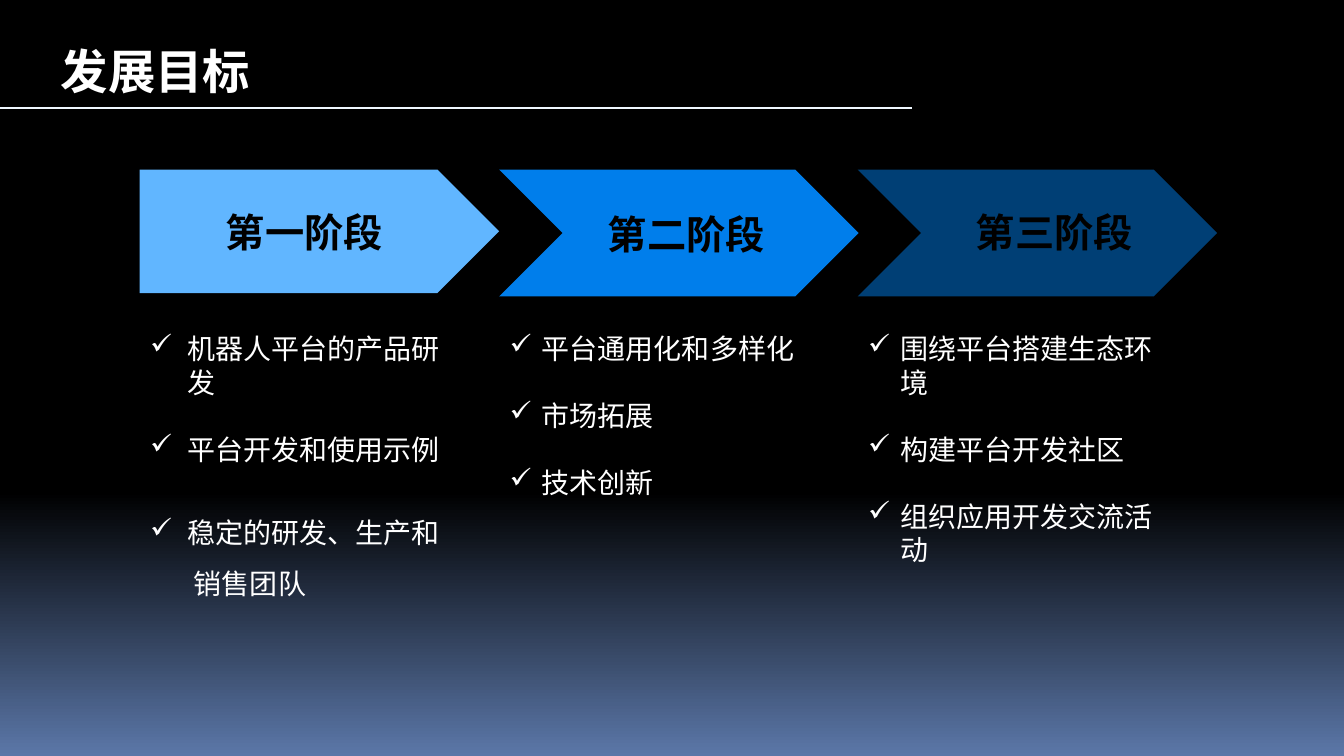
from dataclasses import dataclass

import pptx
import pptx.dml.color
import pptx.enum.shapes
import pptx.oxml.ns
import pptx.oxml.xmlchemy
import pptx.util
from lxml import etree

Inches = pptx.util.Inches
Color = pptx.dml.color.RGBColor
Shape = pptx.enum.shapes.MSO_SHAPE
qn = pptx.oxml.ns.qn

BLACK = Color(0x00, 0x00, 0x00)
WHITE = Color(0xFF, 0xFF, 0xFF)
DUSK = Color(0x5B, 0x77, 0xA8)
PALE = Color(0xEF, 0xF7, 0xFF)
SKY = Color(0x61, 0xB6, 0xFF)
AZURE = Color(0x00, 0x7E, 0xEB)
NAVY = Color(0x00, 0x3F, 0x75)

FACE = "Noto Sans CJK SC"
TITLE = {"name": FACE, "size": pptx.util.Pt(32), "bold": True}
LABEL = {"name": FACE, "size": pptx.util.Pt(26.5), "bold": True}
BODY = {"name": FACE, "size": pptx.util.Pt(18.9), "bold": False}
GAP = pptx.util.Pt(22.6)


@dataclass
class Box:
    left: float
    top: float
    width: float
    height: float

    def lengths(self) -> list:
        return [Inches(v) for v in (self.left, self.top, self.width, self.height)]


@dataclass
class Goal:
    text: str
    indent: float = 0.3
    spacing: float = 1.0
    mark: bool = True


@dataclass
class Stage:
    kind: int
    fill: Color
    arrow: Box
    name: str
    label: Box
    list_box: Box
    goals: list[Goal]


STAGES = [
    Stage(Shape.PENTAGON, SKY, Box(1.31, 1.59, 3.37, 1.16),
          "第一阶段", Box(2.02, 1.9, 1.94, 0.55), Box(1.31, 3.06, 3.1, 2.65),
          [Goal("机器人平台的产品研发", 0.35),
           Goal("平台开发和使用示例", 0.35),
           Goal("稳定的研发、生产和", 0.35, 1.5),
           Goal("销售团队", 0.41, 1.5, False)]),
    Stage(Shape.CHEVRON, AZURE, Box(4.68, 1.59, 3.37, 1.19),
          "第二阶段", Box(5.6, 1.92, 1.94, 0.55), Box(4.68, 3.06, 3.1, 2.01),
          [Goal("平台通用化和多样化"), Goal("市场拓展"), Goal("技术创新")]),
    Stage(Shape.CHEVRON, NAVY, Box(8.04, 1.59, 3.37, 1.19),
          "第三阶段", Box(9.05, 1.9, 1.94, 0.55), Box(8.04, 3.06, 3.1, 2.65),
          [Goal("围绕平台搭建生态环境"), Goal("构建平台开发社区"),
           Goal("组织应用开发交流活动")]),
]


def write(para, text: str, form: dict, color: Color) -> None:
    run = para.add_run()
    run.text = text
    for key, value in form.items():
        setattr(run.font, key, value)
    run.font.color.rgb = color
    east = etree.SubElement(run.font._element, qn("a:ea"))
    east.set("typeface", FACE)


def add_frame(slide, box: Box):
    frame = slide.shapes.add_textbox(*box.lengths()).text_frame
    frame.word_wrap = True
    return frame


def add_label(slide, box: Box, text: str, form: dict, color: Color) -> None:
    write(add_frame(slide, box).paragraphs[0], text, form, color)


def add_arrow(slide, stage: Stage) -> None:
    arrow = slide.shapes.add_shape(stage.kind, *stage.arrow.lengths())
    arrow.shadow.inherit = False
    arrow.fill.solid()
    arrow.fill.fore_color.rgb = stage.fill
    arrow.line.fill.background()


def add_goals(slide, stage: Stage) -> None:
    frame = add_frame(slide, stage.list_box)
    for i, goal in enumerate(stage.goals):
        para = frame.add_paragraph() if i else frame.paragraphs[0]
        para.line_spacing = goal.spacing
        if i and goal.mark:
            para.space_before = GAP
        props = para._p.get_or_add_pPr()
        props.set("marL", str(Inches(goal.indent)))
        if goal.mark:
            props.set("indent", str(-Inches(goal.indent)))
            etree.SubElement(props, qn("a:buChar")).set("char", "✓")
        write(para, goal.text, BODY, WHITE)


def add_rule(slide) -> None:
    ends = [Inches(v) for v in (0, 1.01, 8.55, 1.01)]
    rule = slide.shapes.add_connector(
        pptx.enum.shapes.MSO_CONNECTOR.STRAIGHT, *ends)
    rule.line.color.rgb = PALE
    rule.line.width = pptx.util.Pt(1.5)
    etree.SubElement(rule._element.spPr, qn("a:effectLst"))


def paint(slide) -> None:
    fill = slide.background.fill
    fill.gradient()
    fill.gradient_angle = 270
    for stop, (place, color) in zip(fill.gradient_stops, [(0.65, BLACK), (1, DUSK)]):
        stop.position = place
        stop.color.rgb = color


def main() -> None:
    deck = pptx.Presentation()
    deck.slide_width, deck.slide_height = Inches(12.6), Inches(7.09)
    slide = deck.slides.add_slide(deck.slide_layouts[6])
    paint(slide)

    # Heading
    add_label(slide, Box(0.47, 0.35, 2.12, 0.64), "发展目标", TITLE, WHITE)
    add_rule(slide)

    # Stages with their goals
    for stage in STAGES:
        add_arrow(slide, stage)
        add_label(slide, stage.label, stage.name, LABEL, BLACK)
        add_goals(slide, stage)

    deck.save("out.pptx")


if __name__ == "__main__":
    main()
